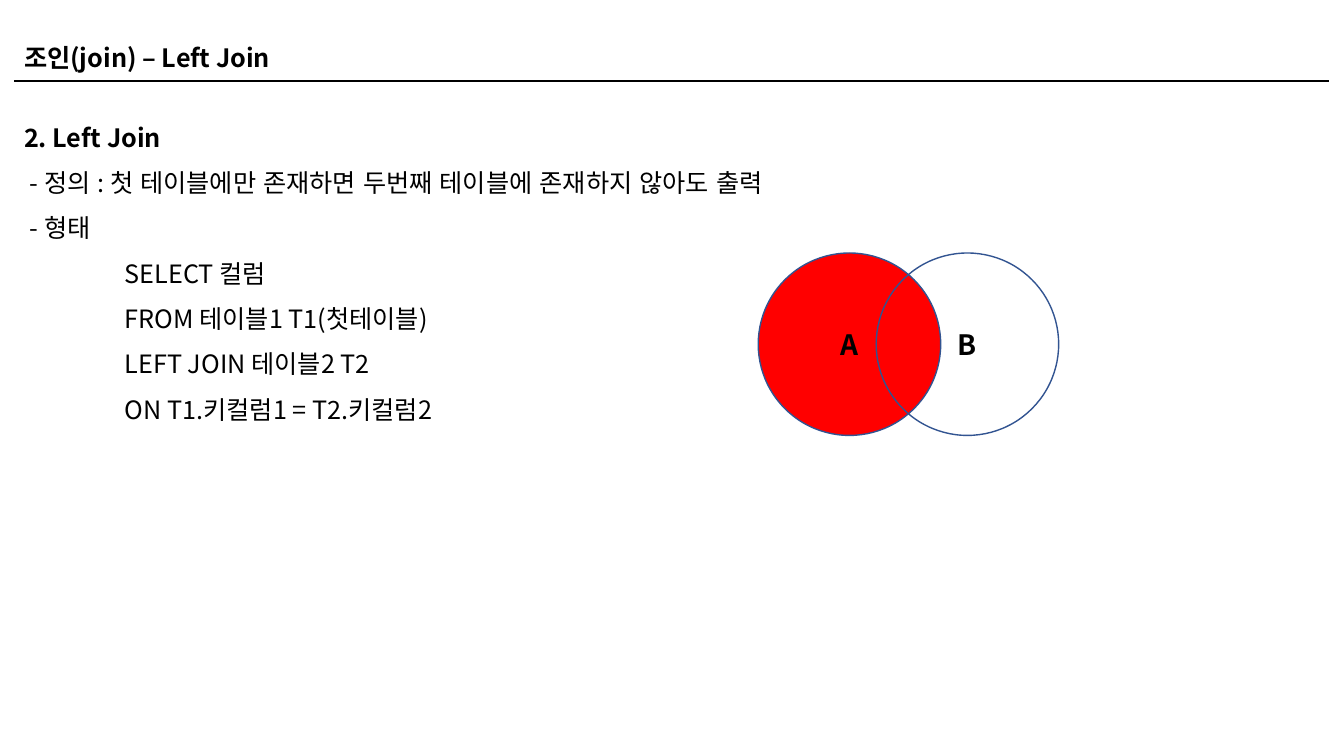
from lxml import etree
from pptx import Presentation
from pptx.dml.color import RGBColor
from pptx.enum.lang import MSO_LANGUAGE_ID
from pptx.enum.shapes import MSO_CONNECTOR, MSO_SHAPE
from pptx.enum.text import MSO_ANCHOR, MSO_AUTO_SIZE, PP_ALIGN
from pptx.oxml.ns import qn
from pptx.util import Inches, Pt

STRAIGHT = MSO_CONNECTOR.STRAIGHT
ELLIPSE = MSO_SHAPE.OVAL
MIDDLE = MSO_ANCHOR.MIDDLE
GROW = MSO_AUTO_SIZE.SHAPE_TO_FIT_TEXT
CENTER = PP_ALIGN.CENTER
KOREAN = MSO_LANGUAGE_ID.KOREAN

FONT = "Noto Sans CJK KR"
COLORS = {"ink": "000000", "outline": "325491", "selected": "FF0000"}
LEFT, WIDTH = 0.14, 13.04


def style_paragraph(para, size, bold):
    para.font.name = FONT
    para.font.size = Pt(size)
    para.font.bold = bold
    para.font.color.rgb = RGBColor.from_string(COLORS["ink"])
    for span in para.runs:
        span.font.language_id = KOREAN
    # Korean letters take the East Asian typeface
    defaults = para._p.pPr.find(qn("a:defRPr"))
    etree.SubElement(defaults, qn("a:ea")).set("typeface", FONT)


def add_text(page, top, height, lines, spacing):
    box = page.shapes.add_textbox(Inches(LEFT), Inches(top), Inches(WIDTH), Inches(height))
    frame = box.text_frame
    frame.word_wrap = True
    frame.auto_size = GROW
    for index, line in enumerate(lines):
        para = frame.add_paragraph() if index else frame.paragraphs[0]
        para.text = line
        para.line_spacing = spacing
        style_paragraph(para, 18, index == 0)
        # Query lines start at a tab stop one inch in
        if line.startswith("\t"):
            tabs = etree.Element(qn("a:tabLst"))
            etree.SubElement(tabs, qn("a:tab"), pos=str(Inches(1)), algn="l")
            para._p.pPr.find(qn("a:defRPr")).addprevious(tabs)


deck = Presentation()
deck.slide_width = Inches(13.33)
deck.slide_height = Inches(7.5)
page = deck.slides.add_slide(deck.slide_layouts[6])

# Rule under the title
rule = page.shapes.add_connector(
    STRAIGHT, Inches(LEFT), Inches(0.8), Inches(LEFT + WIDTH), Inches(0.8))
rule.line.color.rgb = RGBColor.from_string(COLORS["ink"])
rule.line.width = Pt(1.5)
etree.SubElement(rule._element.spPr, qn("a:effectLst"))

# Explanation and title; the first line of each is bold
explanation = [
    "2. Left Join",
    " - 정의 : 첫 테이블에만 존재하면 두번째 테이블에 존재하지 않아도 출력",
    " - 형태",
    "\tSELECT 컬럼",
    "\tFROM 테이블1 T1(첫테이블)",
    "\tLEFT JOIN 테이블2 T2",
    "\tON T1.키컬럼1 = T2.키컬럼2",
]
add_text(page, 1.01, 4.19, explanation, 1.5)
add_text(page, 0.37, 0.4, ["조인(join) – Left Join"], 1.0)

# Venn diagram: all of A is selected
for name, left, fill in [("A", 7.52, "selected"), ("B", 8.69, None)]:
    circle = page.shapes.add_shape(
        ELLIPSE, Inches(left), Inches(2.51), Inches(1.81), Inches(1.81))
    circle.shadow.inherit = False
    if fill:
        circle.fill.solid()
        circle.fill.fore_color.rgb = RGBColor.from_string(COLORS[fill])
    else:
        circle.fill.background()
    circle.line.color.rgb = RGBColor.from_string(COLORS["outline"])
    circle.line.width = Pt(1)
    circle.text_frame.vertical_anchor = MIDDLE
    para = circle.text_frame.paragraphs[0]
    para.text = name
    para.alignment = CENTER
    style_paragraph(para, 20, True)

deck.save("out.pptx")
